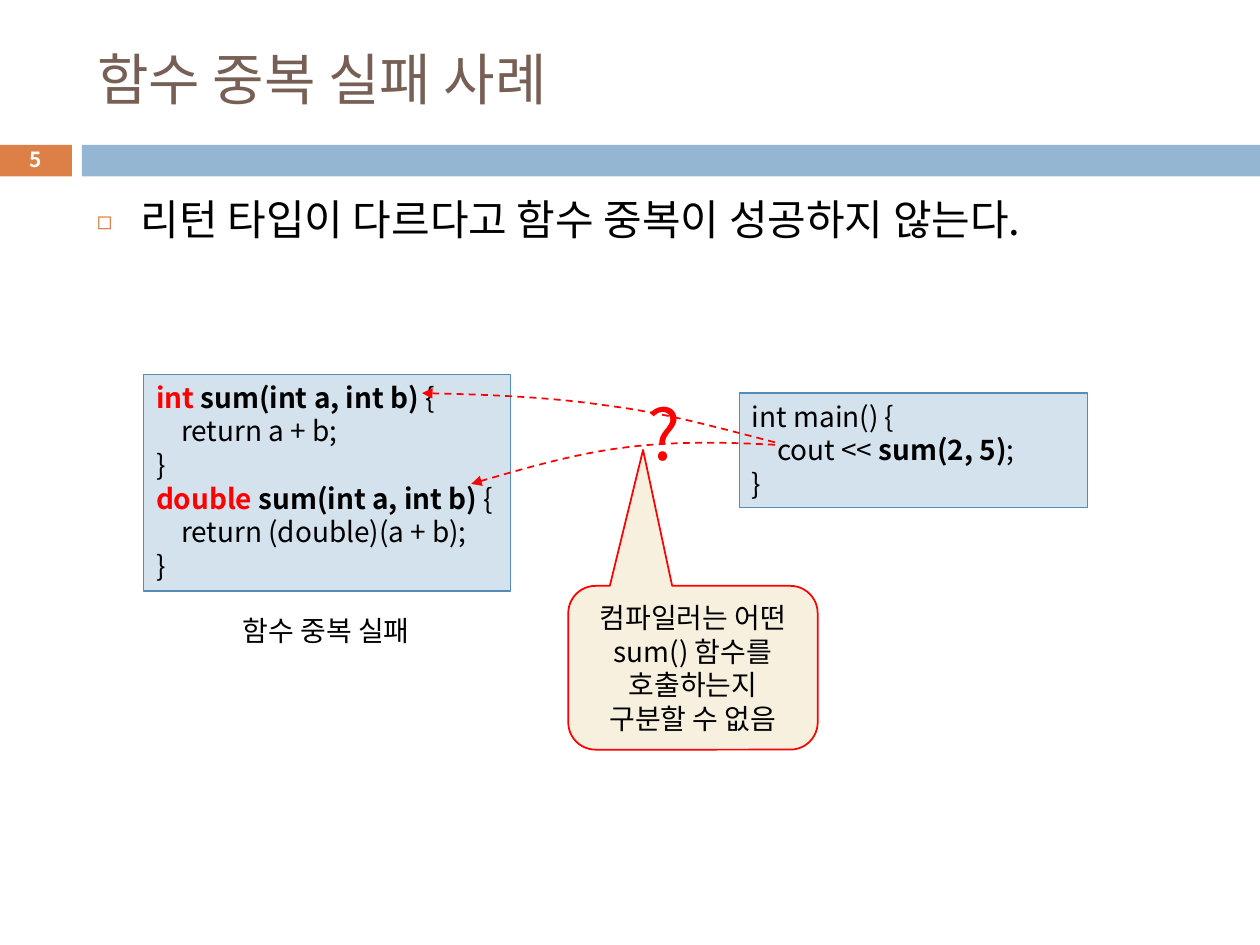
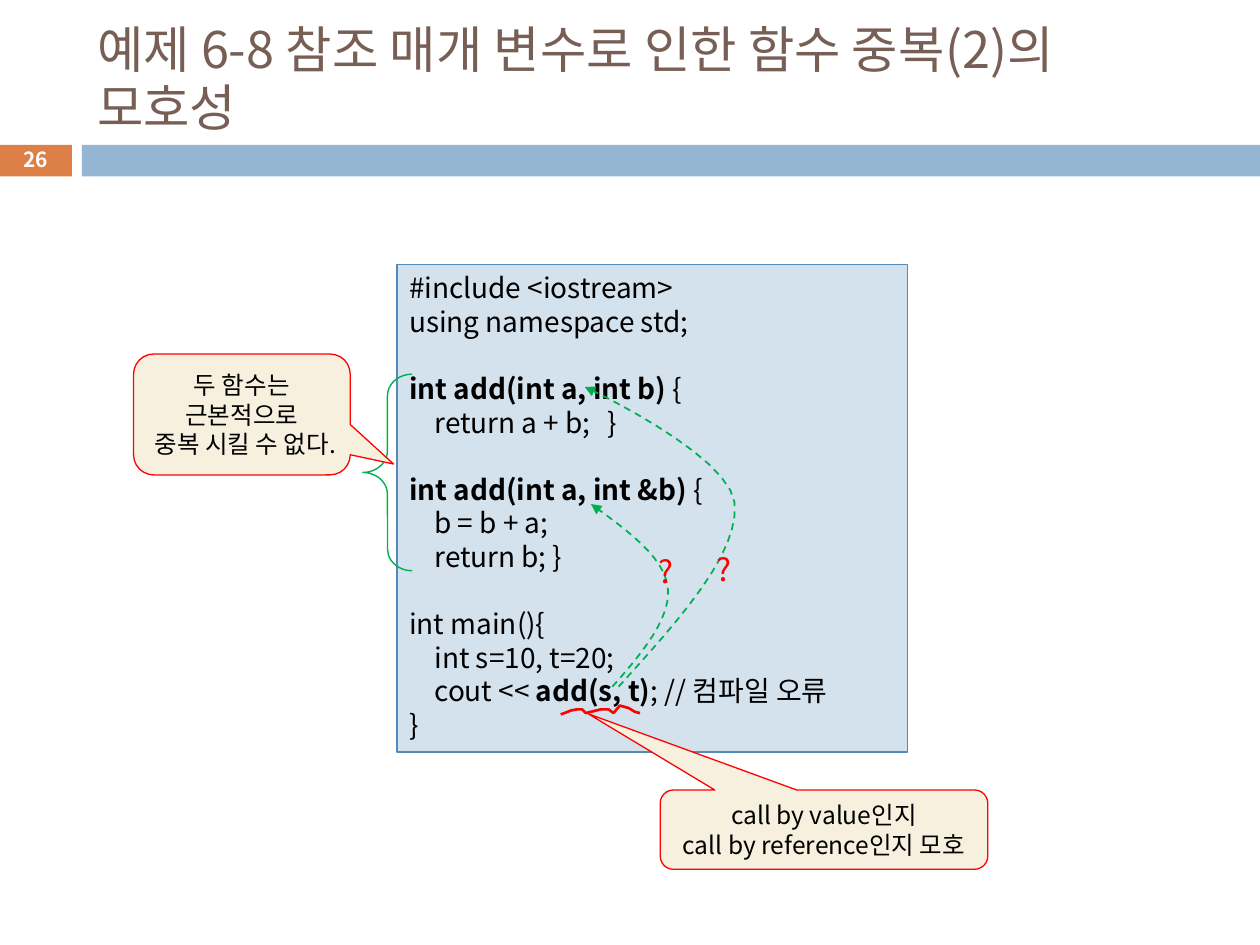
from dataclasses import dataclass

from lxml import etree
from pptx import Presentation
from pptx import util as u
from pptx.dml.color import RGBColor
from pptx.enum import dml, shapes, text
from pptx.oxml.ns import qn

FONT = "Noto Sans CJK KR"
BLACK, WHITE, RED, GREEN = "000000", "FFFFFF", "FF0000", "00B050"
BROWN, ORANGE, BAND_BLUE = "775F55", "DD8047", "94B6D2"
CODE_FILL, CODE_LINE, CALLOUT_FILL = "D4E2ED", "558BB8", "F7F0DE"
LINE_RATIO = 1.2
CODE_SIZE = 16
CODE_TABS = (0.2, 1.57)
CURVE_STEPS = 12

LEFT, CENTER = text.PP_ALIGN.LEFT, text.PP_ALIGN.CENTER
TOP, MIDDLE = text.MSO_ANCHOR.TOP, text.MSO_ANCHOR.MIDDLE


@dataclass
class Box:
    left: float
    top: float
    width: float
    height: float

    def inner(self, left, top, width, height):
        return Box(self.left + left, self.top + top, width, height)

    def point(self, x, y):
        return u.Inches(self.left + x), u.Inches(self.top + y)

    def lengths(self):
        return [u.Inches(value) for value in (self.left, self.top, self.width, self.height)]


def color(hex_text):
    return RGBColor.from_string(hex_text)


def add_element(parent, tag, **attributes):
    return etree.SubElement(parent, qn(tag), attributes)


def format_paragraph(para, size, ink=BLACK, bold=False, align=LEFT, spacing=LINE_RATIO):
    para.alignment = align
    para.line_spacing = u.Pt(round(size * spacing, 1))
    font = para.font
    font.size = u.Pt(size)
    font.bold = bold
    font.color.rgb = color(ink)
    font.name = FONT
    defaults = para._p.pPr.find(qn("a:defRPr"))
    add_element(defaults, "a:ea", typeface=FONT)


def prepare_frame(frame, anchor=TOP, wrap=True):
    frame.auto_size = text.MSO_AUTO_SIZE.NONE
    frame.vertical_anchor = anchor
    frame.word_wrap = wrap


def write_lines(frame, lines, size, **style):
    for index, line in enumerate(lines):
        para = frame.paragraphs[0] if index == 0 else frame.add_paragraph()
        para.add_run().text = line
        format_paragraph(para, size, **style)


def add_label(page, box, words, size, ink=BLACK, bold=False, align=LEFT, anchor=TOP, wrap=False):
    label = page.shapes.add_textbox(*box.lengths())
    prepare_frame(label.text_frame, anchor, wrap)
    write_lines(label.text_frame, [words], size, ink=ink, bold=bold, align=align)
    return label


def add_panel(page, kind, box, fill=None, line=None, width=0.75, adjustments=()):
    panel = page.shapes.add_shape(kind, *box.lengths())
    panel.shadow.inherit = False
    for index, value in enumerate(adjustments):
        panel.adjustments[index] = value
    if fill:
        panel.fill.solid()
        panel.fill.fore_color.rgb = color(fill)
    else:
        panel.fill.background()
    if line:
        panel.line.color.rgb = color(line)
        panel.line.width = u.Pt(width)
    else:
        panel.line.fill.background()
    return panel


def add_callout(page, box, lines, size, width, pointer):
    callout = add_panel(page, shapes.MSO_SHAPE.ROUNDED_RECTANGULAR_CALLOUT, box,
                        CALLOUT_FILL, RED, width, (*pointer, 0.167))
    prepare_frame(callout.text_frame, MIDDLE)
    write_lines(callout.text_frame, lines, size, align=CENTER)


def strong(words, ink=BLACK):
    return words, ink


def add_code(page, box, blocks):
    panel = add_panel(page, shapes.MSO_SHAPE.RECTANGLE, box, CODE_FILL, CODE_LINE)
    frame = panel.text_frame
    prepare_frame(frame)
    for block_index, block in enumerate(blocks):
        for line_index, spans in enumerate(block):
            starts_text = block_index == line_index == 0
            para = frame.paragraphs[0] if starts_text else frame.add_paragraph()
            if block_index and line_index == 0:
                para.space_before = u.Pt(CODE_SIZE * LINE_RATIO)
            stops = add_element(para._p.get_or_add_pPr(), "a:tabLst")
            for stop in CODE_TABS:
                add_element(stops, "a:tab", pos=str(u.Inches(stop)), algn="l")
            for part in spans:
                span = para.add_run()
                if isinstance(part, str):
                    span.text = part
                else:
                    span.text, ink = part
                    span.font.bold = True
                    span.font.color.rgb = color(ink)
            format_paragraph(para, CODE_SIZE)


def curve_points(controls):
    points = [controls[0]]
    for first in range(0, len(controls) - 1, 3):
        a, b, c, d = controls[first:first + 4]
        for step in range(1, CURVE_STEPS + 1):
            t = step / CURVE_STEPS
            s = 1 - t
            weights = (s ** 3, 3 * s * s * t, 3 * s * t * t, t ** 3)
            points.append(tuple(
                sum(weight * knot[axis] for weight, knot in zip(weights, (a, b, c, d)))
                for axis in (0, 1)))
    return points


def add_path(page, box, points, ink, width):
    start, *rest = [box.point(*point) for point in points]
    builder = page.shapes.build_freeform(*start)
    builder.add_line_segments(rest, close=False)
    outline = builder.convert_to_shape()
    outline.shadow.inherit = False
    outline.fill.background()
    outline.line.color.rgb = color(ink)
    outline.line.width = u.Pt(width)
    return outline


def add_dashed_arrow(page, box, controls, ink):
    arrow = add_path(page, box, curve_points(controls), ink, 1)
    arrow.line.dash_style = dml.MSO_LINE.DASH
    add_element(arrow.line._get_or_add_ln(), "a:tailEnd", type="triangle")


def add_page(deck, title, title_size, title_spacing, number):
    page = deck.slides.add_slide(deck.slide_layouts[5])
    for box, fill in ((Box(-0.01, 1.15, 0.58, 0.25), ORANGE),
                      (Box(0.65, 1.15, 9.35, 0.25), BAND_BLUE)):
        add_panel(page, shapes.MSO_SHAPE.RECTANGLE, box, fill)
    heading = page.shapes.title
    heading.left, heading.top, heading.width, heading.height = Box(0.67, 0.25, 8.92, 0.74).lengths()
    prepare_frame(heading.text_frame, MIDDLE)
    write_lines(heading.text_frame, [title], title_size, ink=BROWN, spacing=title_spacing)
    add_label(page, Box(-0.01, 1.13, 0.58, 0.27), number, 11.9, WHITE, True, CENTER, MIDDLE, True)
    return page


def add_bullet(page, box, words):
    holder = page.shapes.add_textbox(*box.lengths())
    prepare_frame(holder.text_frame)
    properties = holder.text_frame.paragraphs[0]._p.get_or_add_pPr()
    indent = u.Inches(0.35)
    properties.set("marL", str(indent))
    properties.set("indent", str(-indent))
    add_element(add_element(properties, "a:buClr"), "a:srgbClr", val=ORANGE)
    add_element(properties, "a:buSzPct", val="60000")
    add_element(properties, "a:buFont", typeface=FONT)
    add_element(properties, "a:buChar", char="◻")
    write_lines(holder.text_frame, [words], 24)


def draw_failed_overload(page, box):
    add_code(page, box.inner(0, 0, 2.91, 1.72), [[
        [strong("int ", RED), strong("sum(int a, int b) "), "{"],
        ["\treturn a + b;"],
        ["}"],
        [strong("double ", RED), strong("sum(int a, int b) "), "{"],
        ["\treturn (double)(a + b);"],
        ["}"],
    ]])
    add_code(page, box.inner(4.73, 0.15, 2.76, 0.91), [[
        ["int main() {"],
        ["\tcout << ", strong("sum(2, 5)"), ";"],
        ["}"],
    ]])
    add_label(page, box.inner(0.69, 1.85, 1.71, 0.37), "함수 중복 실패", 16)
    to_int_sum = [(5.01, 0.54), (4.58, 0.43), (4.16, 0.31), (3.69, 0.25),
                  (3.22, 0.18), (2.71, 0.16), (2.21, 0.15)]
    to_double_sum = [(5.01, 0.56), (4.62, 0.54), (4.23, 0.53), (3.83, 0.58),
                     (3.42, 0.63), (3.01, 0.75), (2.6, 0.87)]
    for controls in (to_int_sum, to_double_sum):
        add_dashed_arrow(page, box, controls, RED)
    add_callout(page, box.inner(3.37, 1.68, 1.98, 1.3),
                ["컴파일러는 어떤 sum() 함수를 호출하는지 구분할 수 없음"], 16, 1, (-0.2, -1.33))
    add_label(page, box.inner(3.9, 0.08, 0.46, 0.77), "?", 40, RED)


def draw_ambiguous_reference(page, box):
    add_code(page, box.inner(2.09, 0, 4.05, 3.87), [
        [["#include <iostream>"],
         ["using namespace std;"]],
        [[strong("int add(int a, int b) "), "{"],
         ["\treturn a + b;\t}"]],
        [[strong("int add(int a, int &b) "), "{"],
         ["\tb = b + a;"],
         ["\treturn b; }"]],
        [["int main(){"],
         ["\tint s=10, t=20;"],
         ["\tcout << ", strong("add(s, t)"), "; // 컴파일 오류"],
         ["}"]],
    ])
    to_reference_add = [(3.8, 3.35), (4.04, 3.08), (4.27, 2.8), (4.24, 2.56),
                        (4.21, 2.32), (3.92, 2.11), (3.63, 1.9)]
    to_value_add = [(3.85, 3.35), (4.33, 2.82), (4.81, 2.29), (4.77, 1.89),
                    (4.72, 1.5), (3.58, 0.97), (3.58, 0.97)]
    for controls in (to_reference_add, to_value_add):
        add_dashed_arrow(page, box, controls, GREEN)
    add_callout(page, box.inner(4.18, 4.17, 2.6, 0.63),
                ["call by value인지", "call by reference인지 모호"], 14, 0.75, (-0.72, -1.46))
    for left, top in ((4.07, 2.23), (4.53, 2.22)):
        add_label(page, box.inner(left, top, 0.32, 0.4), "?", 18, RED)
    add_panel(page, shapes.MSO_SHAPE.LEFT_BRACE, box.inner(1.82, 0.87, 0.39, 1.56),
              line=GREEN, width=0.79, adjustments=(0.444, 0.5))
    add_callout(page, box.inner(0, 0.71, 1.72, 0.96),
                ["두 함수는 근본적으로", "중복 시킬 수 없다."], 14, 0.75, (0.7, 0.41))
    error_underline = [(3.39, 3.57), (3.42, 3.56), (3.47, 3.54), (3.52, 3.53), (3.56, 3.53),
                       (3.59, 3.56), (3.67, 3.54), (3.71, 3.53), (3.77, 3.53), (3.81, 3.56),
                       (3.86, 3.5), (3.93, 3.52), (3.98, 3.55), (4.02, 3.56)]
    add_path(page, box, error_underline, RED, 1.5)


def main():
    deck = Presentation()
    deck.slide_width, deck.slide_height = u.Inches(10), u.Inches(7.5)
    page = add_page(deck, "함수 중복 실패 사례", 32, LINE_RATIO, "5")
    add_bullet(page, Box(0.67, 1.49, 8.92, 5.49), "리턴 타입이 다르다고 함수 중복이 성공하지 않는다.")
    draw_failed_overload(page, Box(1.14, 2.97, 7.49, 2.98))
    page = add_page(deck, "예제 6-8 참조 매개 변수로 인한 함수 중복(2)의 모호성", 28.8, 1.15, "26")
    draw_ambiguous_reference(page, Box(1.06, 2.1, 6.78, 4.8))
    deck.save("out.pptx")


if __name__ == "__main__":
    main()
